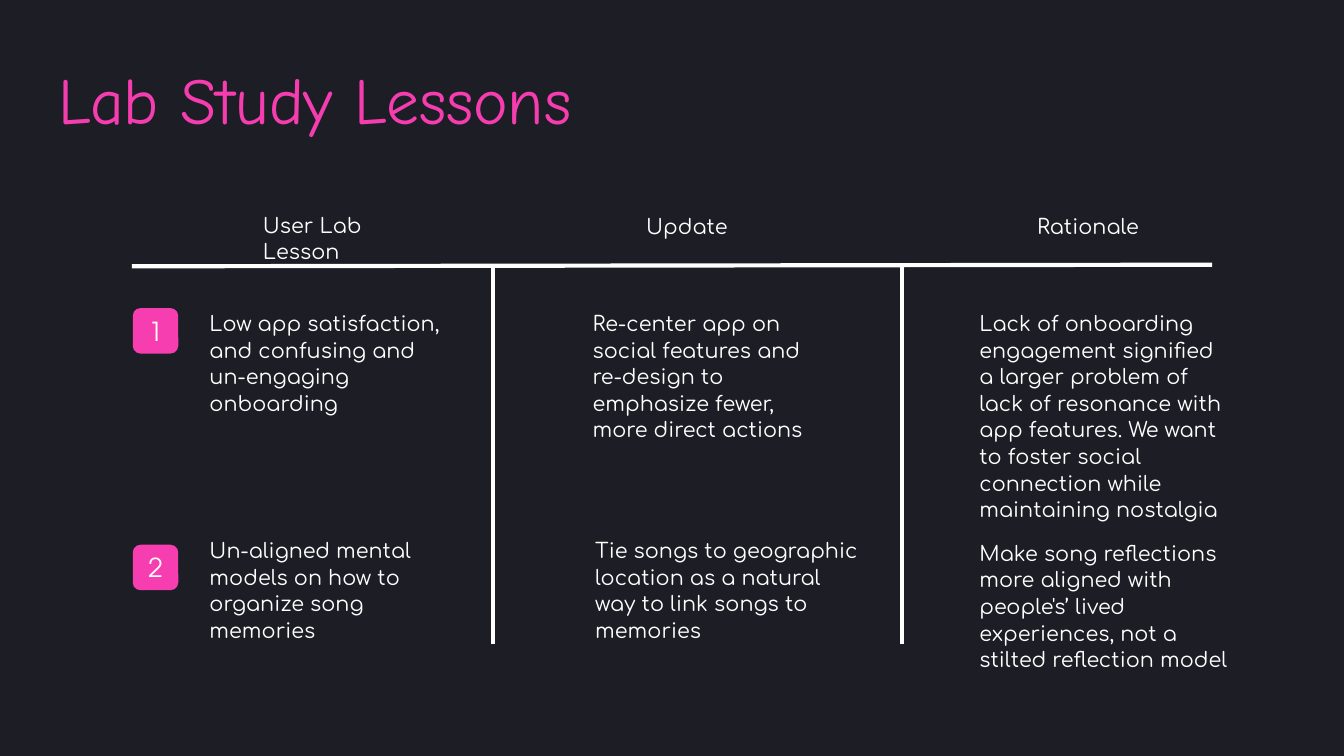
from pptx import Presentation
from pptx.dml.color import RGBColor as RGB
from pptx.enum.shapes import MSO_CONNECTOR as LINE, MSO_SHAPE as SHAPE
from pptx.enum.text import MSO_ANCHOR as ANCHOR, PP_ALIGN as ALIGN
from pptx.util import Cm, Pt
from lxml.etree import SubElement

COLORS = {"back": "1C1D25", "title": "F53DAF", "badge": "F63EB0", "white": "FFFFFF"}


def write(shape, text, font, size, color, space=1.0):
    frame = shape.text_frame
    frame.word_wrap = True
    frame.margin_left = frame.margin_right = Cm(0.25)
    frame.margin_top = frame.margin_bottom = Cm(0.25)
    frame.text = text
    par = frame.paragraphs[0]
    par.line_spacing = space
    style = par.runs[0].font
    style.name = font
    style.size = Pt(size)
    style.color.rgb = RGB.from_string(COLORS[color])
    return par


deck = Presentation()
deck.slide_width, deck.slide_height = Cm(25.4), Cm(14.28)
slide = deck.slides.add_slide(deck.slide_layouts[6])
slide.background.fill.solid()
slide.background.fill.fore_color.rgb = RGB.from_string(COLORS["back"])
shapes = slide.shapes

# Title
box = shapes.add_textbox(Cm(0.86), Cm(0.86), Cm(14.15), Cm(1.96))
write(box, "Lab Study Lessons", "Comic Neue", 35.1, "title")

# Column heads and lessons: left, top, width, height, text
cells = [
    (4.72, 3.73, 2.67, 0.97, "User Lab Lesson"),
    (11.96, 3.76, 2.24, 0.97, "Update"),
    (19.35, 3.76, 2.54, 0.97, "Rationale"),
    (3.71, 5.59, 5.11, 2.39,
     "Low app satisfaction, and confusing and un-engaging onboarding"),
    (10.95, 5.59, 4.72, 2.97,
     "Re-center app on social features and re-design to emphasize fewer, "
     "more direct actions"),
    (18.26, 5.59, 5.11, 3.78,
     "Lack of onboarding engagement signified a larger problem of lack of "
     "resonance with app features. We want to foster social connection "
     "while maintaining nostalgia"),
    (3.71, 9.88, 4.72, 2.24,
     "Un-aligned mental models on how to organize song memories"),
    (11.0, 9.88, 5.59, 2.24,
     "Tie songs to geographic location as a natural way to link songs to memories"),
    (18.26, 9.93, 5.59, 1.68,
     "Make song reflections more aligned with people's’ lived experiences, "
     "not a stilted reflection model"),
]
for left, top, width, height, text in cells:
    box = shapes.add_textbox(Cm(left), Cm(top), Cm(width), Cm(height))
    write(box, text, "Comfortaa", 11.1, "white", 1.07)

# Number badges
for num, top in (("1", 5.82), ("2", 10.29)):
    badge = shapes.add_shape(SHAPE.ROUNDED_RECTANGLE, Cm(2.51), Cm(top), Cm(0.86), Cm(0.86))
    badge.shadow.inherit = False
    badge.adjustments[0] = 0.17
    badge.fill.solid()
    badge.fill.fore_color.rgb = RGB.from_string(COLORS["badge"])
    badge.line.fill.background()
    par = write(badge, num, "TeX Gyre Adventor", 14, "white")
    par.alignment = ALIGN.CENTER
    badge.text_frame.vertical_anchor = ANCHOR.MIDDLE

# Head rule and column rules
rules = [(2.49, 5.03, 22.91, 5.0)] + [(x, 12.17, x, 5.0) for x in (9.32, 17.04)]
for ends in rules:
    rule = shapes.add_connector(LINE.STRAIGHT, *[Cm(end) for end in ends])
    rule.line.color.rgb = RGB.from_string(COLORS["white"])
    rule.line.width = Pt(2.25)
    props = rule._element.spPr
    SubElement(props, "{http://schemas.openxmlformats.org/drawingml/2006/main}effectLst")

deck.save("out.pptx")
